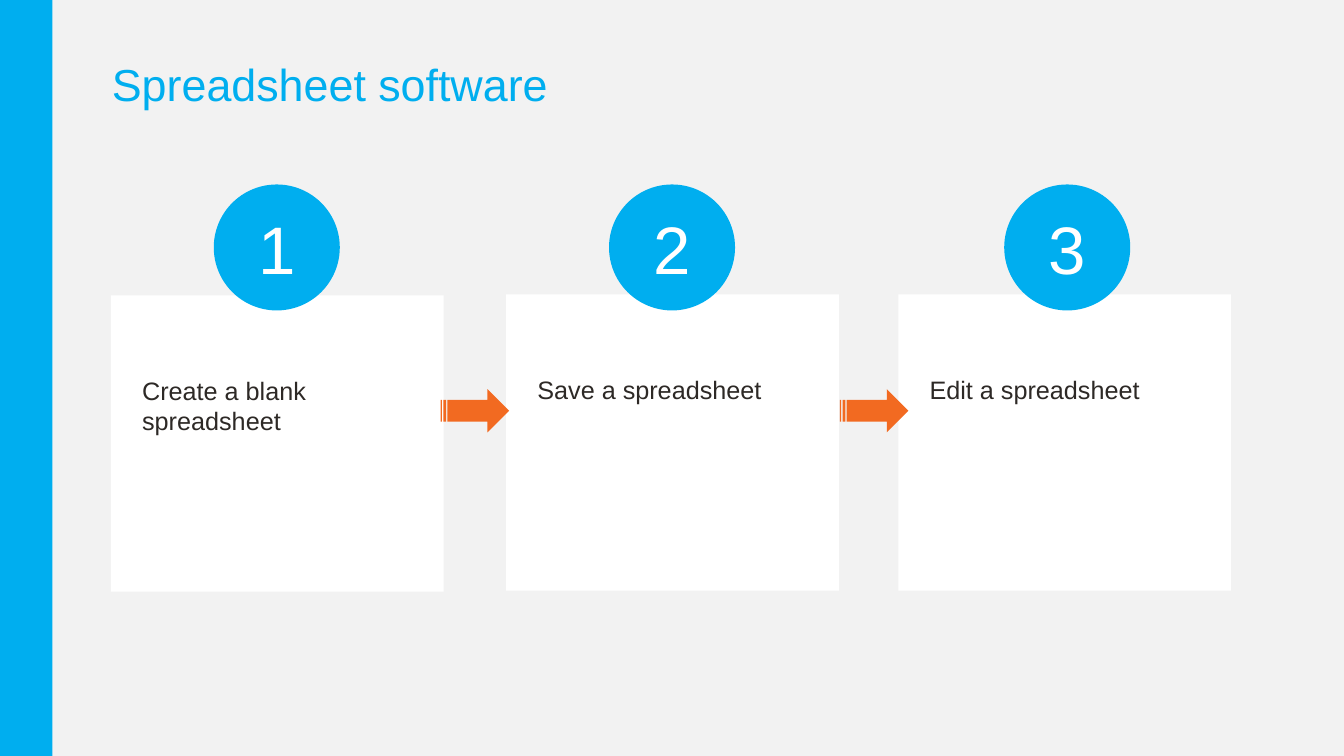
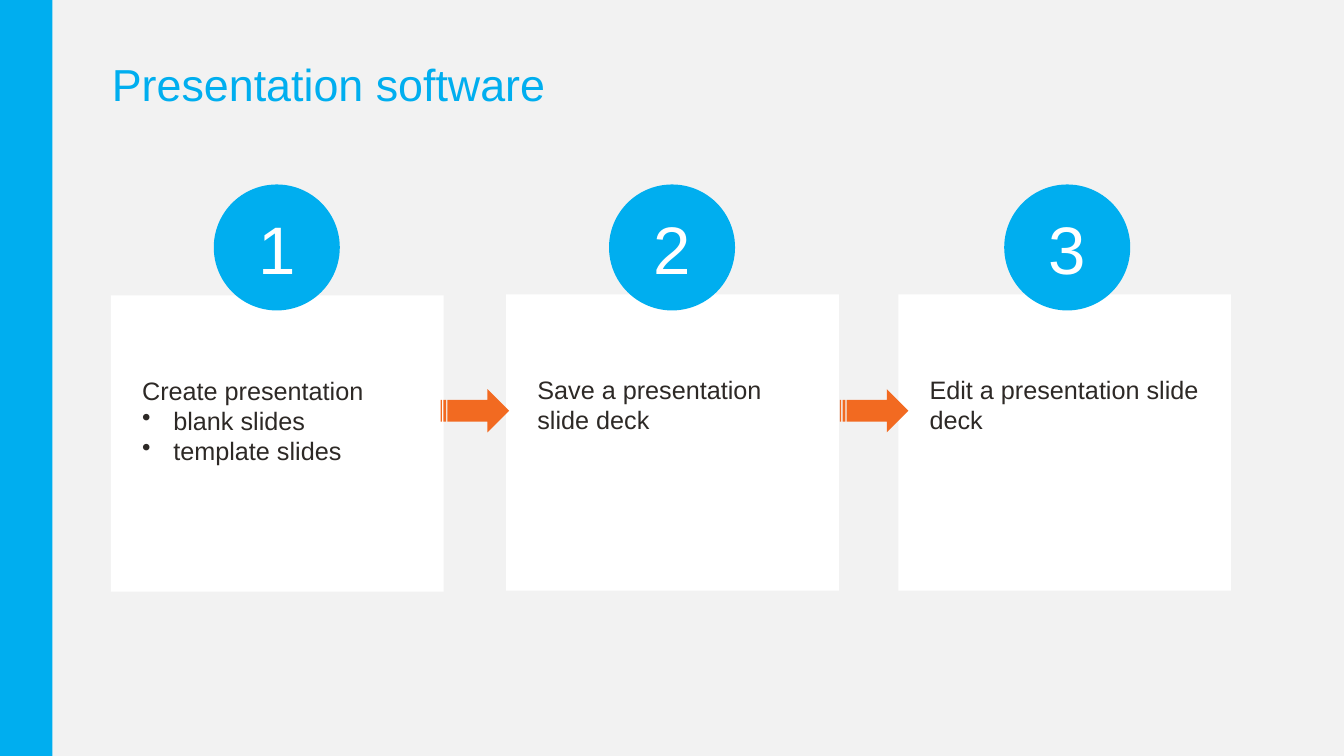
import pptx
import pptx.util
import pptx.dml.color
import pptx.enum.shapes
import pptx.enum.text
import lxml.etree

Inches = pptx.util.Inches
SHAPES = pptx.enum.shapes.MSO_SHAPE
ANCHORS = pptx.enum.text.MSO_ANCHOR
ALIGNMENTS = pptx.enum.text.PP_ALIGN

COLOURS = {
    "background": "F2F2F2",
    "accent": "00AEEF",
    "arrow": "F26A21",
    "card": "FFFFFF",
    "text": "2D2926",
}

SLIDES = [
    ("Spreadsheet software", [
        ["Create a blank spreadsheet"],
        ["Save a spreadsheet"],
        ["Edit a spreadsheet"],
    ]),
    ("Presentation software", [
        ["Create presentation", "blank slides", "template slides"],
        ["Save a presentation slide deck"],
        ["Edit a presentation slide deck"],
    ]),
]

CARD_POSITIONS = [(1.1, 2.93), (5.02, 2.92), (8.91, 2.92)]
ARROW_LEFTS = [4.37, 8.33]
CIRCLE_LEFT, CIRCLE_STEP = 2.12, 3.92
MARGIN = Inches(0.31)


def add_block(page, kind, left, top, width, height, colour):
    block = page.shapes.add_shape(
        kind, Inches(left), Inches(top), Inches(width), Inches(height))
    block.shadow.inherit = False
    block.fill.solid()
    block.fill.fore_color.rgb = pptx.dml.color.RGBColor.from_string(COLOURS[colour])
    block.line.fill.background()
    return block


def write(para, text, size, colour, alignment=ALIGNMENTS.LEFT):
    para.text = text
    para.alignment = alignment
    para.font.name = "Arial"
    para.font.size = pptx.util.Pt(size)
    para.font.color.rgb = pptx.dml.color.RGBColor.from_string(COLOURS[colour])


deck = pptx.Presentation()
deck.slide_width = Inches(13.33)
deck.slide_height = Inches(7.5)

for title, steps in SLIDES:
    page = deck.slides.add_slide(deck.slide_layouts[6])
    add_block(page, SHAPES.RECTANGLE, 0, 0, 13.33, 7.5, "background")
    add_block(page, SHAPES.RECTANGLE, 0, 0, 0.52, 7.5, "accent")

    title_box = page.shapes.add_textbox(
        Inches(1.11), Inches(0.22), Inches(9.48), Inches(1.29))
    frame = title_box.text_frame
    frame.word_wrap = True
    frame.vertical_anchor = ANCHORS.MIDDLE
    frame.margin_left = frame.margin_right = 0
    frame.margin_top = frame.margin_bottom = 0
    write(frame.paragraphs[0], title, 32, "accent")
    frame.paragraphs[0].line_spacing = 0.9

    for (left, top), lines in zip(CARD_POSITIONS, steps):
        card = add_block(page, SHAPES.RECTANGLE, left, top, 3.3, 2.94, "card")
        frame = card.text_frame
        frame.word_wrap = True
        frame.vertical_anchor = ANCHORS.TOP
        frame.margin_left = frame.margin_right = MARGIN
        frame.margin_top = Inches(0.79)
        frame.margin_bottom = Inches(0.05)
        for index, line in enumerate(lines):
            para = frame.add_paragraph() if index else frame.paragraphs[0]
            if index:
                properties = para._p.get_or_add_pPr()
                properties.set("marL", str(MARGIN))
                properties.set("indent", str(-MARGIN))
                bullet = lxml.etree.SubElement(
                    properties, pptx.oxml.ns.qn("a:buChar"))
                bullet.set("char", "•")
            write(para, line, 18, "text")

    for left in ARROW_LEFTS:
        add_block(page, SHAPES.STRIPED_RIGHT_ARROW, left, 3.86, 0.68, 0.43, "arrow")

    for index in range(len(steps)):
        circle = add_block(page, SHAPES.OVAL, CIRCLE_LEFT + index * CIRCLE_STEP,
                           1.83, 1.25, 1.25, "accent")
        circle.text_frame.vertical_anchor = ANCHORS.MIDDLE
        write(circle.text_frame.paragraphs[0], str(index + 1), 48, "card",
              ALIGNMENTS.CENTER)

deck.save("out.pptx")
